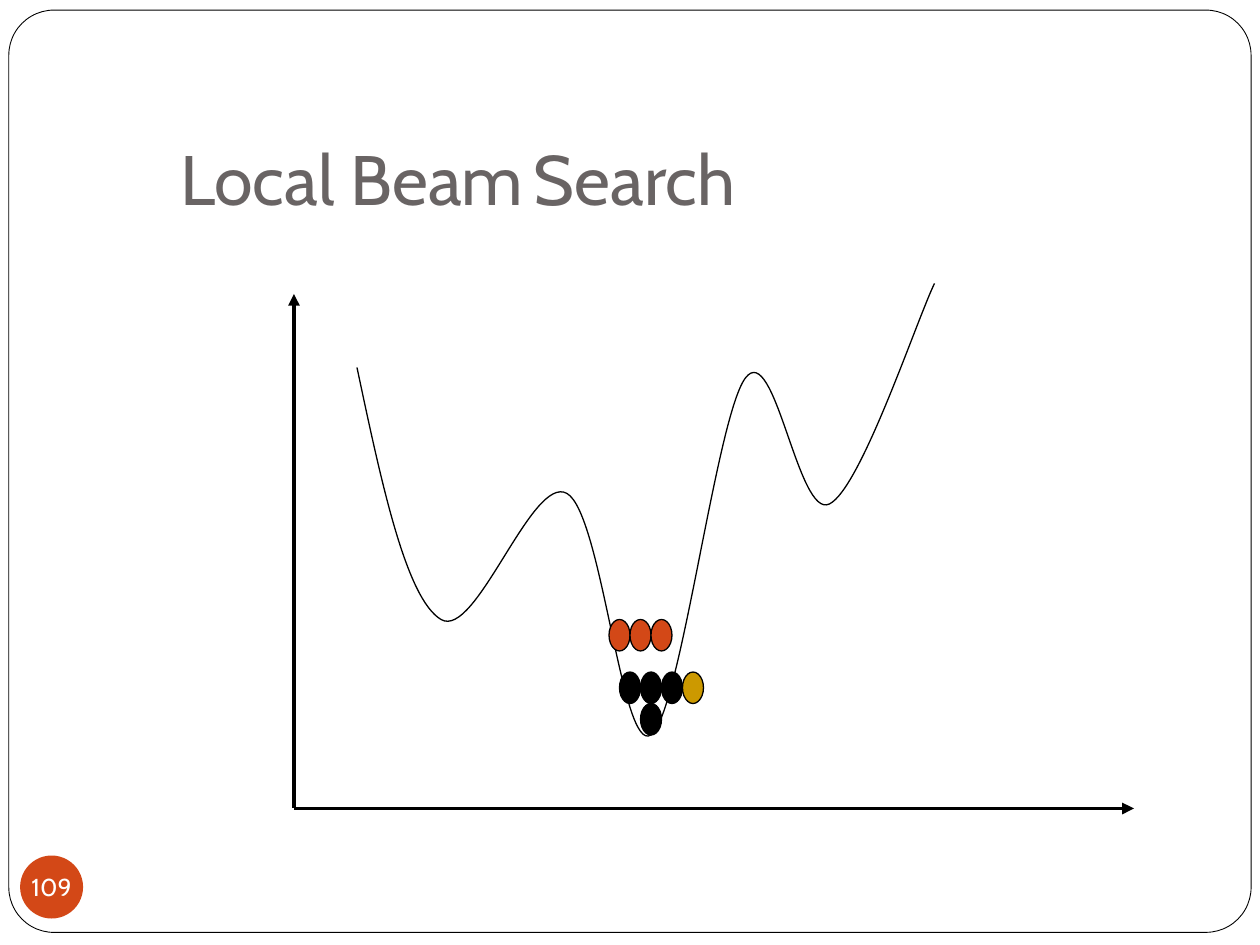
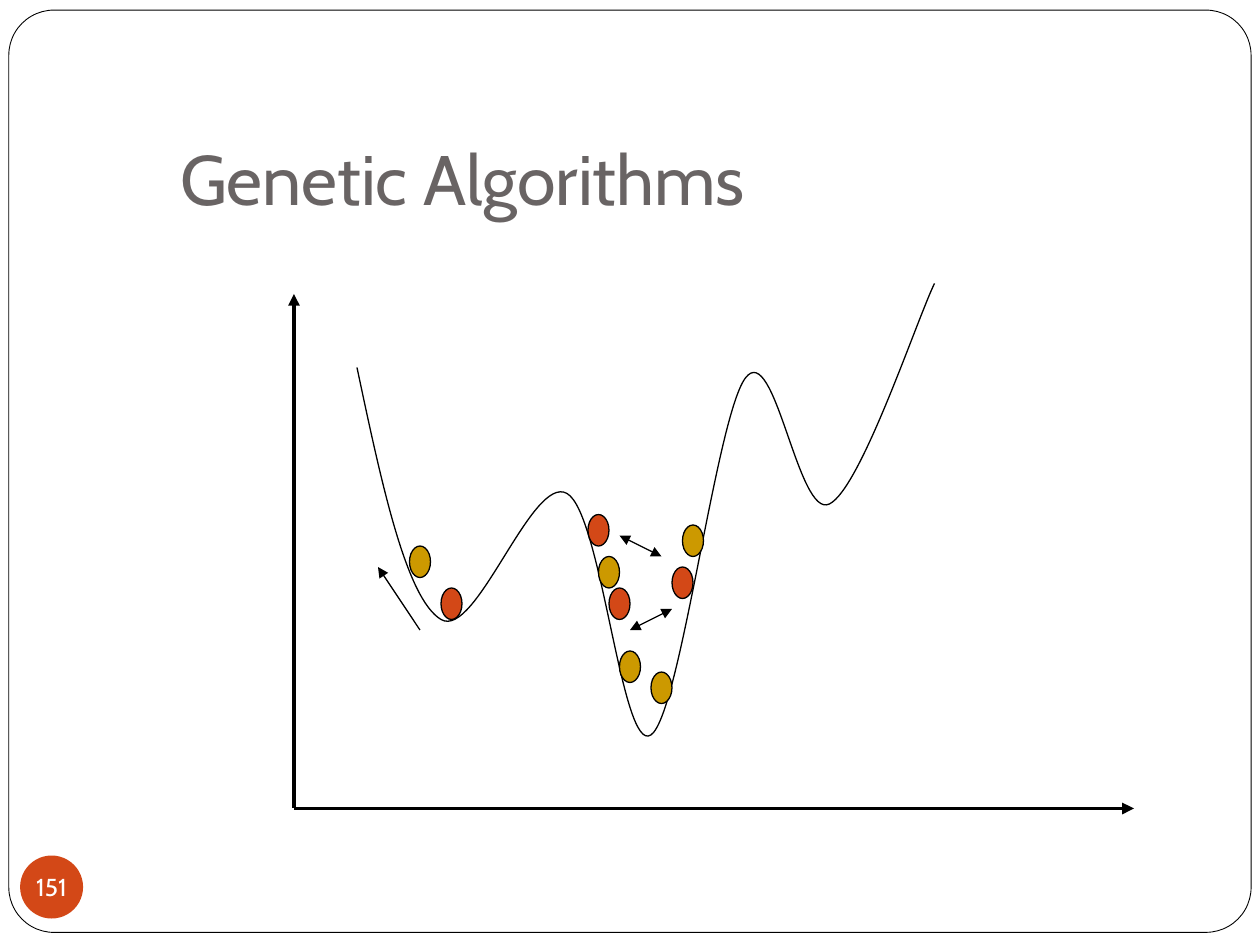
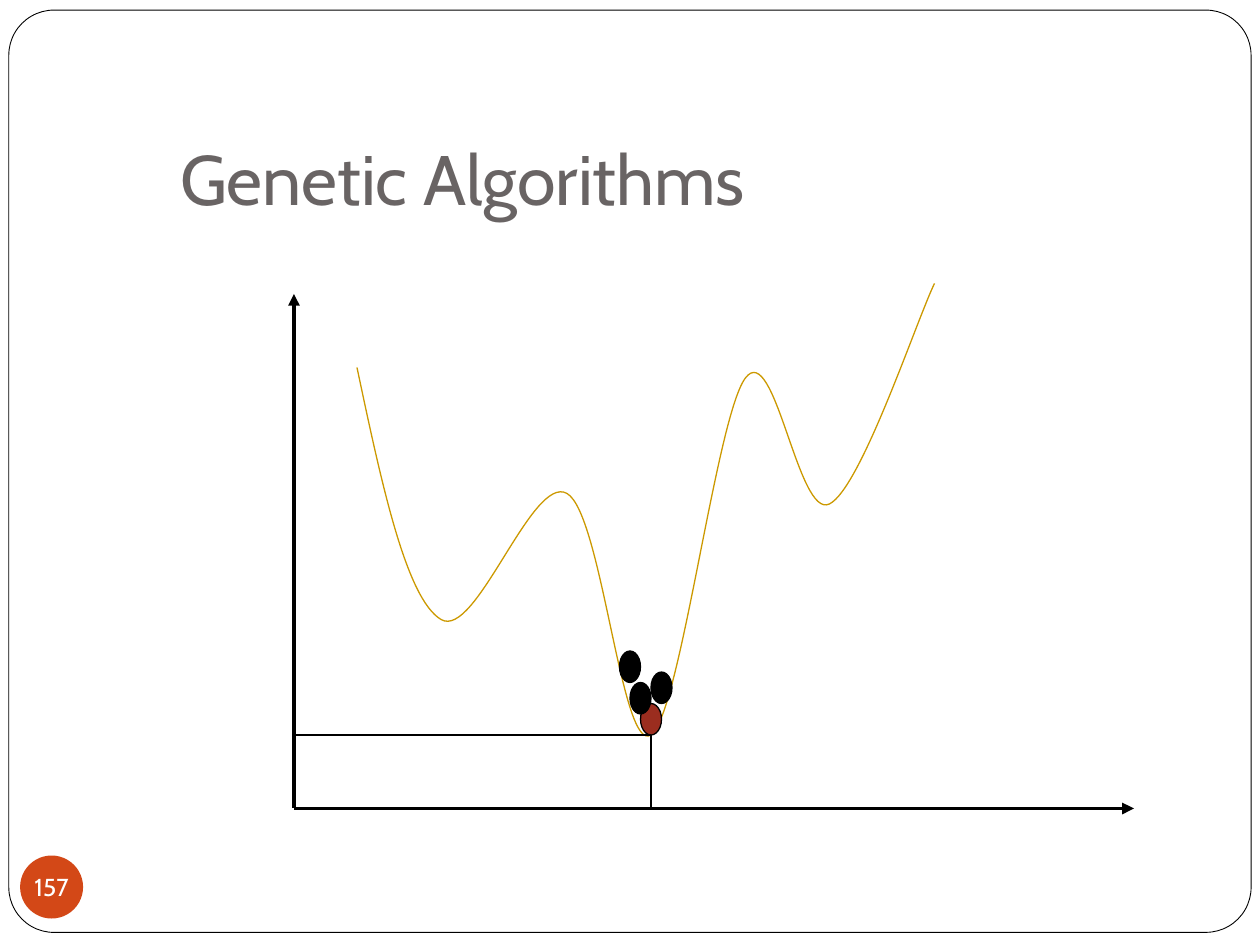
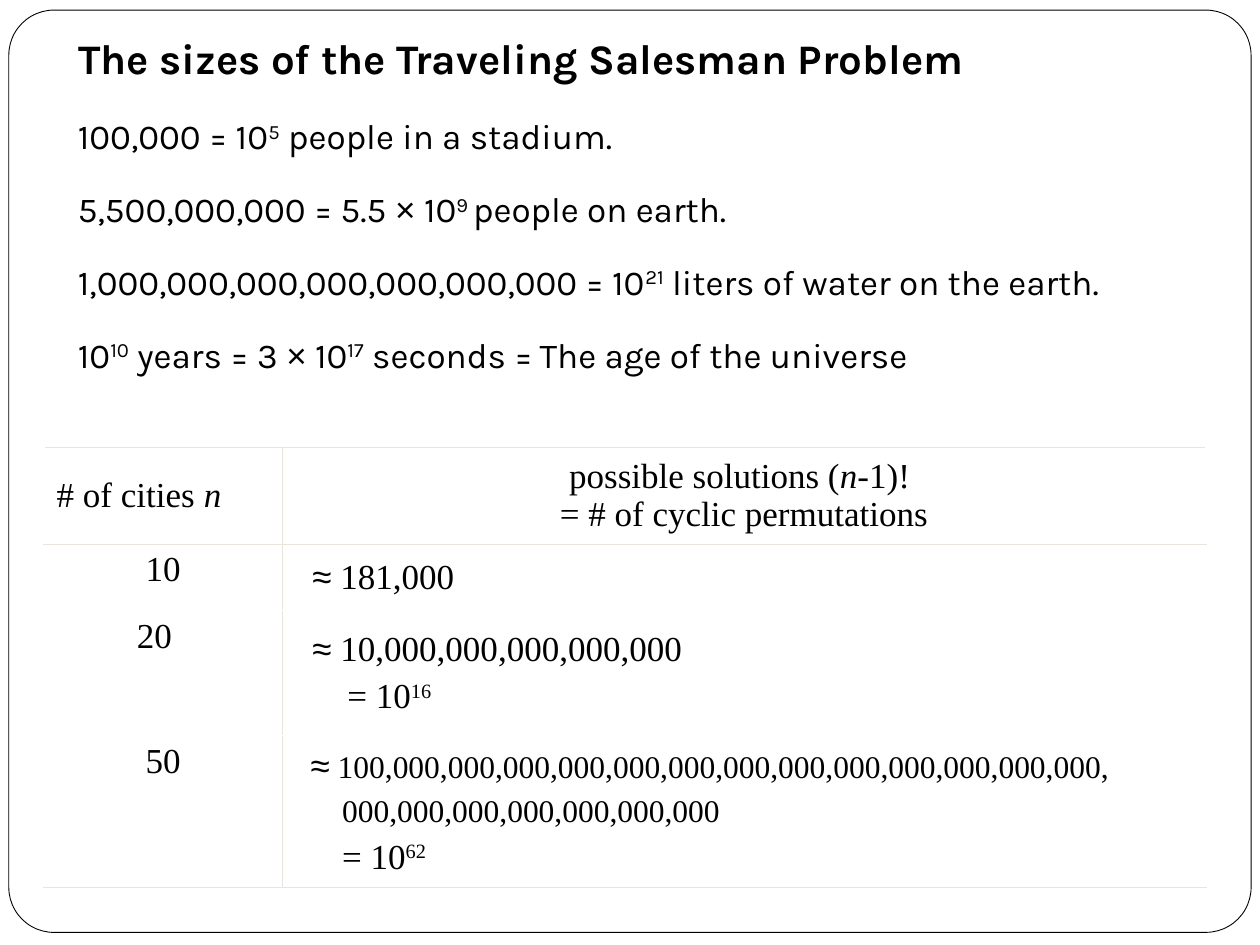
"""Build four slides on local search landscapes and the size of the travelling salesman problem."""
import dataclasses

import lxml.etree
import pptx
import pptx.dml.color
import pptx.enum.shapes
import pptx.enum.text
import pptx.oxml
import pptx.oxml.ns
import pptx.util

Inches = pptx.util.Inches
Pt = pptx.util.Pt
Shape = pptx.enum.shapes.MSO_SHAPE
Align = pptx.enum.text.PP_ALIGN
Anchor = pptx.enum.text.MSO_ANCHOR


@dataclasses.dataclass(frozen=True)
class Theme:
    """Colours, fonts and type sizes."""
    ink: str = "000000"
    paper: str = "FFFFFF"
    gray: str = "696464"
    orange: str = "D34817"
    gold: str = "CC9900"
    maroon: str = "9B2D1F"
    rule: str = "E9E5DC"
    heading_font: str = "Cabin"
    facts_font: str = "Karla"
    table_font: str = "Times New Roman"
    sign_font: str = "Arial"
    title: int = 40
    facts_title: int = 24
    body: int = 20
    long_number: int = 18
    badge: int = 14
    hairline: float = 0.75
    axis: float = 2.25


THEME = Theme()
GRID = Inches(1) // 12

AXES = [((28, 28), (28, 77), "head"), ((28, 77), (108, 77), "tail")]
CURVE_START = (34, 35)
CURVE = [
    (36.33, 46), (38.67, 57), (42, 59),
    (45.33, 61), (50.67, 45.1), (54, 47),
    (57.33, 48.9), (59.2, 71.9), (62, 70),
    (64.8, 68.1), (68.2, 39.7), (71, 36),
    (73.8, 32.3), (76, 49.5), (79, 48),
    (82, 46.5), (87.3, 30.5), (89, 27),
]

LANDSCAPES = [
    {
        "title": ["Local Beam", (" ", "gap"), "Search"],
        "number": "109",
        "curve": THEME.ink,
        "states": [
            (THEME.orange, [(58, 59), (60, 59), (62, 59)]),
            (THEME.ink, [(59, 64), (61, 67), (61, 64), (63, 64)]),
            (THEME.gold, [(65, 64)]),
        ],
        "lines": [],
    },
    {
        "title": ["Genetic Algorithms"],
        "number": "151",
        "curve": THEME.ink,
        "states": [
            (THEME.orange, [(56, 49), (42, 56), (58, 56), (64, 54)]),
            (THEME.gold, [(62, 64), (59, 62), (39, 52), (57, 53), (65, 50)]),
        ],
        "lines": [
            ((60, 60), (64, 58), "head tail"),
            ((40, 60), (36, 54), "tail"),
            ((59, 51), (63, 53), "head tail"),
        ],
    },
    {
        "title": ["Genetic Algorithms"],
        "number": "157",
        "curve": THEME.gold,
        "states": [
            (THEME.ink, [(62, 64), (59, 62)]),
            (THEME.maroon, [(61, 67)]),
            (THEME.ink, [(60, 65)]),
        ],
        "lines": [((62, 70), (62, 77), ""), ((62, 70), (28, 70), "")],
    },
]

FACTS_TITLE = ["The sizes of the Traveling Salesman Problem"]
FACTS = [
    ["100,000 = 10", ("5", "sup"), " people in a stadium."],
    ["5,500,000,000 = 5.5 ", ("×", "sign"), " 10", ("9 ", "sup"), "people on earth."],
    ["1,000,000,000,000,000,000,000 = 10", ("21", "sup"), " liters of water on the earth."],
    ["10", ("10", "sup"), " years = 3 ", ("×", "sign"), " 10", ("17", "sup"),
     " seconds =", (" ", "small"), "The age of the universe"],
]

COLUMNS = [1.89, 7.33]
ROWS = [0.67, 0.53, 0.99, 1.2]
CITIES = [["# of cities ", ("n", "italic")], ["10"], ["20"], ["50"]]
CITY_RIGHT_INDENTS = [0, 0, 10, 0]
SOLUTIONS = [
    [(0, ["possible solutions (", ("n-", "italic"), "1)! "]),
     (0, ["= # of cyclic permutations"])],
    [(10, [("≈", "sign"), " 181,000"])],
    [(10, [("≈", "sign"), " 10,000,000,000,000,000"]),
     (30, ["= 10", ("16", "sup")])],
    [(9, [("≈", "sign"),
          (" 100,000,000,000,000,000,000,000,000,000,000,000,000,000,", "long")]),
     (27, [("000,000,000,000,000,000,000", "long")]),
     (27, ["= 10", ("62", "sup")])],
]


def rgb(value):
    """Turn a hex string into a colour."""
    return pptx.dml.color.RGBColor.from_string(value)


def add_spans(para, parts, font, size, color, bold=False):
    """Write a paragraph run by run, applying each run's named style."""
    for part in parts:
        text, style = (part, "") if isinstance(part, str) else part
        span = para.add_run()
        span.text = text
        span.font.name = THEME.sign_font if style == "sign" else font
        sizes = {"gap": 28, "small": 16, "long": THEME.long_number}
        span.font.size = Pt(sizes.get(style, size))
        span.font.bold = bold
        span.font.italic = style in ("italic", "gap")
        span.font.color.rgb = rgb(color)
        if style == "sup":
            span._r.get_or_add_rPr().set("baseline", "30000")


def set_insets(frame, left, top, right, bottom):
    """Set the four text margins in inches."""
    frame.margin_left, frame.margin_top = Inches(left), Inches(top)
    frame.margin_right, frame.margin_bottom = Inches(right), Inches(bottom)


def paint(shape, fill, line=None, width=THEME.hairline):
    """Give a shape its fill and outline without a shadow."""
    shape.shadow.inherit = False
    if fill:
        shape.fill.solid()
        shape.fill.fore_color.rgb = rgb(fill)
    else:
        shape.fill.background()
    if line:
        shape.line.color.rgb = rgb(line)
        shape.line.width = Pt(width)
    else:
        shape.line.fill.background()


def add_frame(page, layout):
    """Place the rounded page frame on the shared layout."""
    frame = page.shapes.add_shape(
        Shape.ROUNDED_RECTANGLE, Inches(0.07), Inches(0.08), Inches(9.86), Inches(7.32))
    frame.adjustments[0] = 0.049
    paint(frame, THEME.paper, THEME.ink, 0.5)
    layout.shapes.element.insert(2, frame.element)


def set_title(page, parts, place, anchor, font, size, color, bold=False):
    """Move and format the title placeholder."""
    title = page.shapes.title
    title.left, title.top, title.width, title.height = map(Inches, place)
    frame = title.text_frame
    frame.word_wrap = True
    frame.auto_size = pptx.enum.text.MSO_AUTO_SIZE.NONE
    frame.vertical_anchor = anchor
    set_insets(frame, 0.1, 0.05, 0.1, 0.1)
    para = frame.paragraphs[0]
    para.alignment = Align.LEFT
    add_spans(para, parts, font, size, color, bold)


def add_badge(page, number):
    """Draw the round page number."""
    badge = page.shapes.add_shape(
        Shape.OVAL, Inches(0.16), Inches(6.79), Inches(0.5), Inches(0.5))
    paint(badge, THEME.orange)
    frame = badge.text_frame
    frame.word_wrap = False
    frame.vertical_anchor = Anchor.MIDDLE
    set_insets(frame, 0, 0, 0, 0)
    para = frame.paragraphs[0]
    para.alignment = Align.CENTER
    add_spans(para, [number], THEME.heading_font, THEME.badge, THEME.paper)


def add_line(page, start, end, arrows, width=THEME.hairline):
    """Draw a straight line between grid points with the named arrowheads."""
    line = page.shapes.add_connector(
        pptx.enum.shapes.MSO_CONNECTOR.STRAIGHT, *(GRID * value for value in start + end))
    line.line.color.rgb = rgb(THEME.ink)
    line.line.width = Pt(width)
    outline = line.element.xpath(".//a:ln")[0]
    for name in arrows.split():
        tip = lxml.etree.SubElement(outline, pptx.oxml.ns.qn(f"a:{name}End"))
        tip.set("type", "triangle")
    lxml.etree.SubElement(line.element.spPr, pptx.oxml.ns.qn("a:effectLst"))


def add_curve(page, color):
    """Draw the cost curve, turning each three points into one cubic segment."""
    builder = page.shapes.build_freeform(*(round(GRID * value) for value in CURVE_START))
    points = [(round(GRID * x), round(GRID * y)) for x, y in CURVE]
    builder.add_line_segments(points, close=False)
    curve = builder.convert_to_shape()
    paint(curve, None, color)
    steps = curve.element.xpath(".//a:lnTo")
    for first in range(0, len(steps), 3):
        cubic = pptx.oxml.parse_xml(f"<a:cubicBezTo {pptx.oxml.ns.nsdecls('a')}/>")
        steps[first].addprevious(cubic)
        for step in steps[first:first + 3]:
            cubic.append(step[0])
            step.getparent().remove(step)


def add_landscape(page, content):
    """Fill a slide with axes, a cost curve, search states and moves."""
    set_title(page, content["title"], (1.33, 0.94, 8.52, 0.9), Anchor.BOTTOM,
              THEME.heading_font, THEME.title, THEME.gray)
    add_badge(page, content["number"])
    for start, end, arrows in AXES:
        add_line(page, start, end, arrows, THEME.axis)
    add_curve(page, content["curve"])
    for color, places in content["states"]:
        for column, row in places:
            state = page.shapes.add_shape(
                Shape.OVAL, GRID * column, GRID * row, GRID * 2, GRID * 3)
            paint(state, color, THEME.ink)
    for start, end, arrows in content["lines"]:
        add_line(page, start, end, arrows)


def add_facts(page):
    """List the large numbers for comparison."""
    box = page.shapes.add_textbox(Inches(0.52), Inches(0.86), Inches(8.67), Inches(2.12))
    frame = box.text_frame
    frame.word_wrap = True
    set_insets(frame, 0.1, 0.05, 0.1, 0.05)
    for index, parts in enumerate(FACTS):
        para = frame.paragraphs[0] if index == 0 else frame.add_paragraph()
        para.space_before = Pt(17.7 if index else 0)
        add_spans(para, parts, THEME.facts_font, THEME.body, THEME.ink)


def rule_cell(cell, sides):
    """Draw thin rules on the given sides of a cell and leave it unfilled."""
    properties = cell._tc.get_or_add_tcPr()
    for side in sides:
        properties.append(pptx.oxml.parse_xml(
            f'<a:ln{side} {pptx.oxml.ns.nsdecls("a")} w="{Pt(0.45)}"><a:solidFill>'
            f'<a:srgbClr val="{THEME.rule}"/></a:solidFill></a:ln{side}>'))
    cell.fill.background()


def fill_cell(cell, lines, alignment, anchor, right_indent=0):
    """Write indented lines into a table cell."""
    cell.vertical_anchor = anchor
    frame = cell.text_frame
    for index, (indent, parts) in enumerate(lines):
        para = frame.paragraphs[0] if index == 0 else frame.add_paragraph()
        para.alignment = alignment
        if index and indent:
            para.space_before = Pt(5)
        properties = para._p.get_or_add_pPr()
        properties.set("marL", str(Pt(indent)))
        properties.set("marR", str(Pt(right_indent)))
        add_spans(para, parts, THEME.table_font, THEME.body, THEME.ink)


def add_solutions(page):
    """Tabulate the number of tours by number of cities."""
    holder = page.shapes.add_table(
        len(ROWS), len(COLUMNS), Inches(0.35), Inches(3.55),
        Inches(sum(COLUMNS)), Inches(sum(ROWS)))
    table = holder.table
    table.first_row = table.horz_banding = False
    for column, width in zip(table.columns, COLUMNS):
        column.width = Inches(width)
    for index, height in enumerate(ROWS):
        table.rows[index].height = Inches(height)
        header = index == 0
        city, solution = table.cell(index, 0), table.cell(index, 1)
        fill_cell(city, [(0, CITIES[index])], Align.LEFT if header else Align.CENTER,
                  Anchor.MIDDLE if header else Anchor.TOP, CITY_RIGHT_INDENTS[index])
        fill_cell(solution, SOLUTIONS[index], Align.CENTER if header else Align.LEFT,
                  Anchor.MIDDLE)
        level = ("T" if index < 2 else "") + ("B" if index in (0, len(ROWS) - 1) else "")
        rule_cell(city, "R" + level)
        rule_cell(solution, "L" + level)


def main():
    """Build and save the deck."""
    deck = pptx.Presentation()
    deck.slide_width, deck.slide_height = Inches(10), Inches(7.5)
    layout = deck.slide_layouts[5]
    pages = [deck.slides.add_slide(layout) for _ in range(len(LANDSCAPES) + 1)]
    add_frame(pages[0], layout)
    for page, content in zip(pages, LANDSCAPES):
        add_landscape(page, content)
    set_title(pages[-1], FACTS_TITLE, (0.52, 0.21, 8.67, 0.55), Anchor.TOP,
              THEME.facts_font, THEME.facts_title, THEME.ink, bold=True)
    add_facts(pages[-1])
    add_solutions(pages[-1])
    deck.save("out.pptx")


if __name__ == "__main__":
    main()
